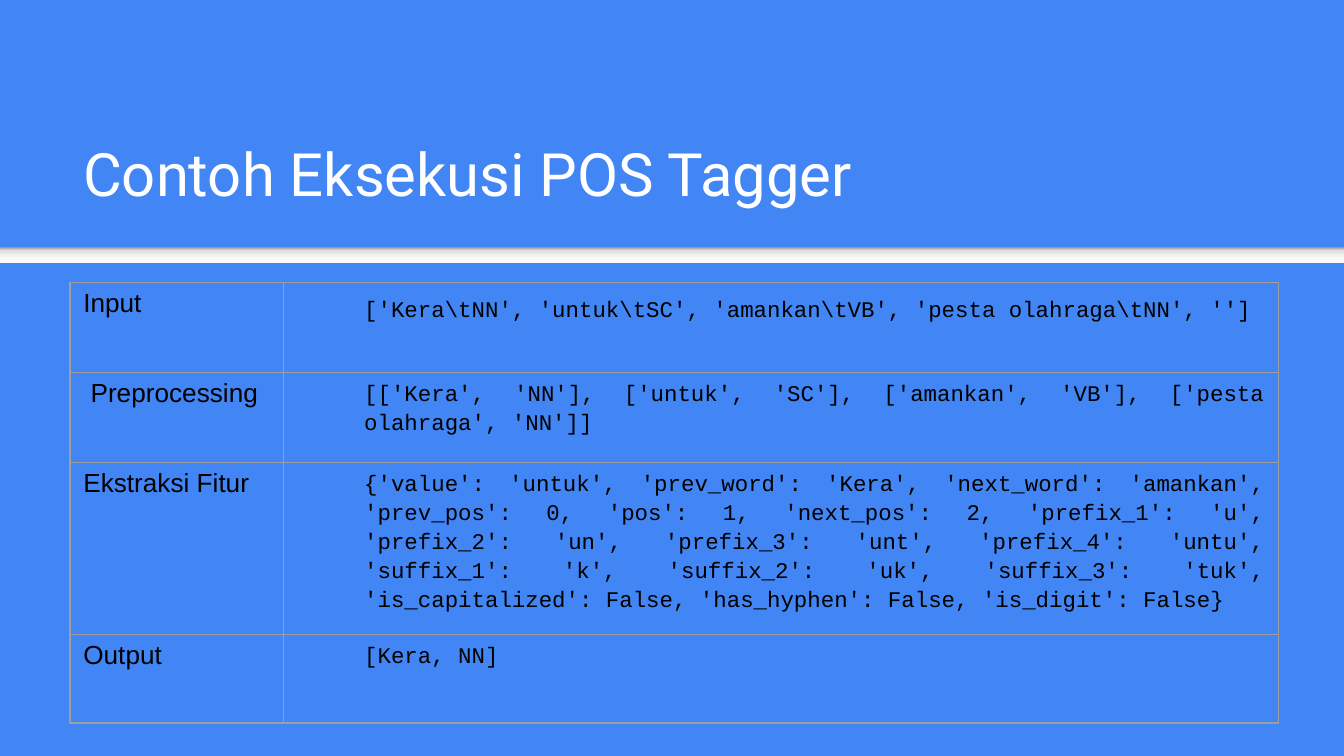
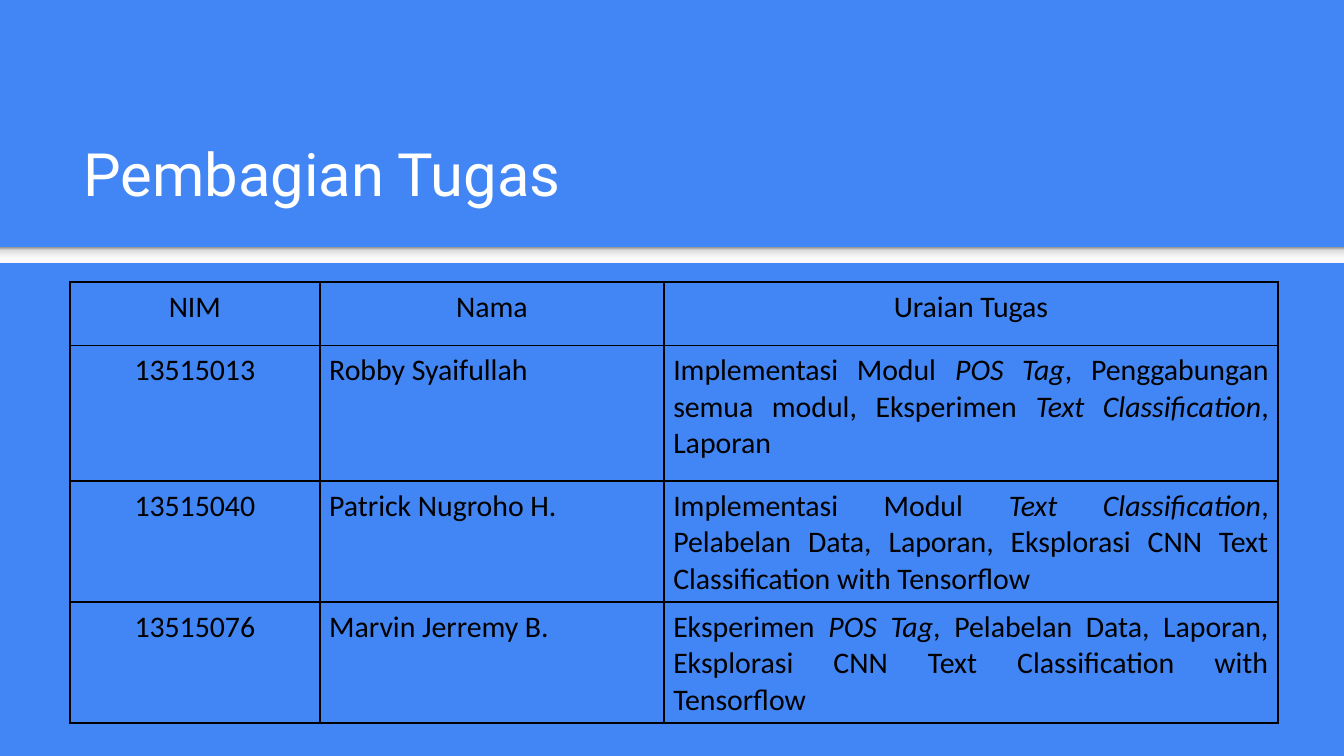
"""Builds two slides on a POS tagger: a sample run and the division of work."""
from lxml import etree
from pptx import Presentation
from pptx.dml.color import RGBColor
from pptx.enum.shapes import MSO_SHAPE
from pptx.enum.text import MSO_ANCHOR, PP_ALIGN
from pptx.oxml.ns import qn
from pptx.util import Inches, Pt

RECT = MSO_SHAPE.RECTANGLE
BOTTOM = MSO_ANCHOR.BOTTOM
LEFT, CENTER, JUSTIFY = PP_ALIGN.LEFT, PP_ALIGN.CENTER, PP_ALIGN.JUSTIFY

BLUE, WHITE, BLACK, GREY = "4285F4", "FFFFFF", "000000", "9E9E9E"
BAND_STOPS = [(0, "F9F9F9"), (36, "F9F9F9"), (80, "DEDEDE"), (100, "999999")]
MARGIN, CONTENT_W, TABLE_H = 0.52, 8.99, 3.28
ITALIC_MARK = "*"

LABEL = {"font": "Arial", "size": 14, "align": LEFT}
CODE = {"font": "Courier New", "size": 12, "align": JUSTIFY, "indent": 0.5, "spacing": 1.15}
CENTERED = {"font": "Calibri", "size": 16, "align": CENTER}
JUSTIFIED = {**CENTERED, "align": JUSTIFY}

SLIDES = [
    {
        "title": "Contoh Eksekusi POS Tagger",
        "border": (GREY, 0.75),
        "inset": 0.1,
        "cols": [1.59, 7.4],
        "row_heights": [0.67, 0.67, 1.28, 0.66],
        "styles": [[LABEL, {**CODE, "spacing": 1.38}]] + [[LABEL, CODE]] * 3,
        "rows": [
            ("Input", r"['Kera\tNN', 'untuk\tSC', 'amankan\tVB', 'pesta olahraga\tNN', '']"),
            (" Preprocessing",
             "[['Kera', 'NN'], ['untuk', 'SC'], ['amankan', 'VB'], ['pesta olahraga', 'NN']]"),
            ("Ekstraksi Fitur",
             "{'value': 'untuk', 'prev_word': 'Kera', 'next_word': 'amankan', "
             "'prev_pos': 0, 'pos': 1, 'next_pos': 2, 'prefix_1': 'u', "
             "'prefix_2': 'un', 'prefix_3': 'unt', 'prefix_4': 'untu', "
             "'suffix_1': 'k', 'suffix_2': 'uk', 'suffix_3': 'tuk', "
             "'is_capitalized': False, 'has_hyphen': False, 'is_digit': False}"),
            ("Output", "[Kera, NN]"),
        ],
    },
    {
        "title": "Pembagian Tugas",
        "border": (BLACK, 0.96),
        "inset": 0.07,
        "cols": [1.86, 2.56, 4.57],
        "row_heights": [0.47, 1.01, 0.74, 0.74],
        "styles": [[CENTERED] * 3] + [[CENTERED, JUSTIFIED, JUSTIFIED]] * 3,
        "rows": [
            ("NIM", "Nama", "Uraian Tugas"),
            ("13515013", "Robby Syaifullah",
             "Implementasi Modul *POS Tag*, Penggabungan semua modul, "
             "Eksperimen *Text Classification*, Laporan"),
            ("13515040", "Patrick Nugroho H.",
             "Implementasi Modul *Text Classification*, Pelabelan Data, Laporan, "
             "Eksplorasi CNN Text Classification with Tensorflow"),
            ("13515076", "Marvin Jerremy B.",
             "Eksperimen *POS Tag*, Pelabelan Data, Laporan, "
             "Eksplorasi CNN Text Classification with Tensorflow"),
        ],
    },
]


def rgb(value):
    return RGBColor.from_string(value)


def add_xml(parent, tag, **attrs):
    return etree.SubElement(parent, qn(tag), {k: str(v) for k, v in attrs.items()})


def add_run(p, text, font, size, color, italic=False):
    r = p.add_run()
    r.text = text
    r.font.name, r.font.size, r.font.italic = font, Pt(size), italic
    r.font.color.rgb = rgb(color)


def add_band(s):
    sp = s.shapes.add_shape(RECT, 0, Inches(1.84), Inches(10), Inches(0.12))
    sp.shadow.inherit = False
    sp.line.fill.background()
    sp.fill.gradient()
    grad = sp._element.spPr.find(qn("a:gradFill"))
    for child in list(grad):
        grad.remove(child)
    stops = add_xml(grad, "a:gsLst")
    for pos, color in BAND_STOPS:
        add_xml(add_xml(stops, "a:gs", pos=pos * 1000), "a:srgbClr", val=color)
    add_xml(grad, "a:lin", ang=270 * 60000, scaled=0)


def add_title(s, text):
    sp = s.shapes.add_textbox(Inches(MARGIN), Inches(0.81), Inches(CONTENT_W), Inches(0.84))
    tf = sp.text_frame
    tf.word_wrap, tf.vertical_anchor = True, BOTTOM
    tf.margin_left = tf.margin_right = tf.margin_top = tf.margin_bottom = Inches(0.1)
    add_run(tf.paragraphs[0], text, "Roboto", 32, WHITE)


def fill_cell(cell, text, style, inset, border):
    color, width = border
    tc_pr = cell._tc.get_or_add_tcPr()
    for side in ("a:lnL", "a:lnR", "a:lnT", "a:lnB"):
        ln = add_xml(tc_pr, side, w=int(Pt(width)))
        add_xml(add_xml(ln, "a:solidFill"), "a:srgbClr", val=color)
    cell.fill.background()
    cell.margin_left = cell.margin_right = Inches(inset)
    cell.margin_top = cell.margin_bottom = Inches(0.05)
    p = cell.text_frame.paragraphs[0]
    p.alignment = style["align"]
    p.line_spacing = style.get("spacing", 1.0)
    if "indent" in style:
        p._p.get_or_add_pPr().set("marL", str(Inches(style["indent"])))
    for i, part in enumerate(text.split(ITALIC_MARK)):
        add_run(p, part, style["font"], style["size"], BLACK, i % 2 == 1)


def add_table(s, data):
    cols, heights = data["cols"], data["row_heights"]
    frame = s.shapes.add_table(len(heights), len(cols), Inches(MARGIN), Inches(2.1),
                               Inches(CONTENT_W), Inches(TABLE_H))
    table = frame.table
    table.first_row = table.horz_banding = False
    for col, width in zip(table.columns, cols):
        col.width = Inches(width)
    for row, height, texts, styles in zip(table.rows, heights, data["rows"], data["styles"]):
        row.height = Inches(height)
        for cell, text, style in zip(row.cells, texts, styles):
            fill_cell(cell, text, style, data["inset"], data["border"])
    frame.height = Inches(TABLE_H)


def main():
    prs = Presentation()
    prs.slide_width = Inches(10)
    prs.slide_height = prs.slide_width * 9 // 16
    for data in SLIDES:
        s = prs.slides.add_slide(prs.slide_layouts[6])
        s.background.fill.solid()
        s.background.fill.fore_color.rgb = rgb(BLUE)
        add_band(s)
        add_title(s, data["title"])
        add_table(s, data)
    prs.save("out.pptx")


if __name__ == "__main__":
    main()
